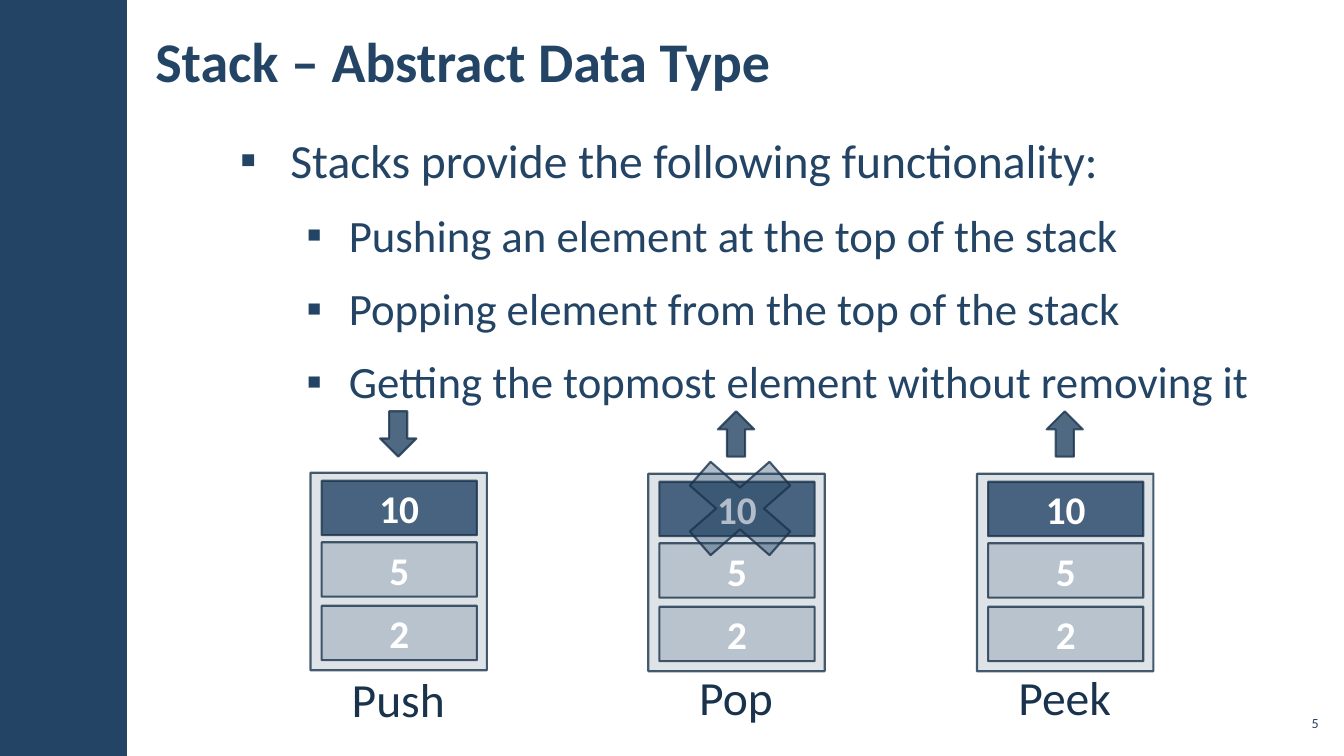
"""Build a slide on the operations of the stack data type."""
from lxml.etree import SubElement
from pptx import Presentation
from pptx.dml.color import RGBColor
from pptx.enum.shapes import MSO_SHAPE
from pptx.enum.text import MSO_ANCHOR, PP_ALIGN
from pptx.oxml.ns import qn
from pptx.util import Emu, Pt

PX = 9144
FONT = "Calibri"
NAVY = RGBColor(0x23, 0x44, 0x65)
DARK = RGBColor(0x1A, 0x33, 0x4C)
WHITE = RGBColor(0xFF, 0xFF, 0xFF)

PANEL_WIDTH, PANEL_HEIGHT = 175, 196
CELL_WIDTH, CELL_HEIGHT = 154, 54
ARROW_WIDTH, LABEL_WIDTH = 36, 142
CELLS = [("2", 132, 20), ("10", 8, 80), ("5", 69, 20)]
STACKS = [
    ("Push", 308, 469, 658, 0, False),
    ("Pop", 643, 470, 656, 180, True),
    ("Peek", 969, 470, 656, 180, False),
]
BULLETS = [
    (0, "Stacks provide the following functionality:"),
    (1, "Pushing an element at the top of the stack"),
    (1, "Popping element from the top of the stack"),
    (1, "Getting the topmost element without removing it"),
]
BULLET_STYLES = [(34, 50, -50), (32, 108, -42)]


def px(*lengths):
    """Turn px lengths into EMU."""
    return [Emu(length * PX) for length in lengths]


def set_alpha(fill, percent):
    """Give a solid fill the stated opacity."""
    color = fill._xPr.find(qn("a:solidFill"))[0]
    SubElement(color, qn("a:alpha")).set("val", str(percent * 1000))


def add_span(para, text, size, color, bold=False):
    """Add one formatted run to a paragraph."""
    span = para.add_run()
    span.text = text
    span.font.name = FONT
    span.font.size = Pt(size)
    span.font.bold = bold
    span.font.color.rgb = color


def space_para(para):
    """Apply the spacing shared by bullets and labels."""
    para.line_spacing = 1.05
    para.space_before = para.space_after = Pt(6)


def add_bullet(para, level):
    """Give a paragraph a square bullet and a hanging indent."""
    _, margin, indent = BULLET_STYLES[level]
    para.level = level
    properties = para._p.get_or_add_pPr()
    properties.set("marL", str(margin * PX))
    properties.set("indent", str(indent * PX))
    SubElement(properties, qn("a:buFont")).set("typeface", "Arial")
    SubElement(properties, qn("a:buChar")).set("char", "▪")


def add_text_frame(shapes, left, top, width, height, side=12, anchor=MSO_ANCHOR.TOP):
    """Add a wrapping text box and return its frame."""
    frame = shapes.add_textbox(*px(left, top, width, height)).text_frame
    frame.word_wrap = True
    frame.vertical_anchor = anchor
    frame.margin_left, frame.margin_right = px(side, side)
    frame.margin_top, frame.margin_bottom = px(4, 4)
    return frame


def add_figure(shapes, kind, left, top, width, height, opacity):
    """Add a translucent navy shape with a dark outline."""
    figure = shapes.add_shape(kind, *px(left, top, width, height))
    figure.shadow.inherit = False
    figure.fill.solid()
    figure.fill.fore_color.rgb = NAVY
    set_alpha(figure.fill, opacity)
    figure.line.color.rgb = DARK
    figure.line.width = Pt(1.5)
    set_alpha(figure.line.fill, 80)
    return figure


def add_cell(shapes, text, left, top, opacity):
    """Add one stack element with its value."""
    cell = add_figure(shapes, MSO_SHAPE.RECTANGLE, left, top, CELL_WIDTH, CELL_HEIGHT, opacity)
    frame = cell.text_frame
    frame.vertical_anchor = MSO_ANCHOR.MIDDLE
    para = frame.paragraphs[0]
    para.alignment = PP_ALIGN.CENTER
    add_span(para, text, 28, WHITE, True)


def add_stack(page, name, left, top, label_top, rotation, crossed):
    """Add a grouped stack with its arrow and label."""
    shapes = page.shapes.add_group_shape().shapes
    add_figure(shapes, MSO_SHAPE.RECTANGLE, left, top, PANEL_WIDTH, PANEL_HEIGHT, 15)
    for text, offset, opacity in CELLS:
        add_cell(shapes, text, left + 11, top + offset, opacity)
    arrow_left = left + (PANEL_WIDTH - ARROW_WIDTH) // 2
    arrow = add_figure(shapes, MSO_SHAPE.DOWN_ARROW, arrow_left, 408, ARROW_WIDTH, 45, 80)
    arrow.rotation = rotation
    if crossed:
        add_figure(shapes, MSO_SHAPE.MATH_MULTIPLY, left + 15, 438, 152, 133, 35)
    label_left = left + (PANEL_WIDTH - LABEL_WIDTH) // 2
    para = add_text_frame(shapes, label_left, label_top, LABEL_WIDTH, 70).paragraphs[0]
    para.alignment = PP_ALIGN.CENTER
    space_para(para)
    add_span(para, name, 34, DARK)


def add_sidebar(page):
    """Add the solid band along the left edge."""
    band = page.shapes.add_shape(MSO_SHAPE.RECTANGLE, *px(0, 0, 126, 750))
    band.shadow.inherit = False
    band.fill.solid()
    band.fill.fore_color.rgb = NAVY
    band.line.fill.background()


def add_bullets(page):
    """Add the list of stack operations."""
    frame = add_text_frame(page.shapes, 226, 123, 1086, 606)
    for index, (level, text) in enumerate(BULLETS):
        para = frame.add_paragraph() if index else frame.paragraphs[0]
        space_para(para)
        add_bullet(para, level)
        add_span(para, text, BULLET_STYLES[level][0], NAVY)


def main():
    """Build and save the deck."""
    deck = Presentation()
    deck.slide_width, deck.slide_height = px(1333, 750)
    page = deck.slides.add_slide(deck.slide_layouts[6])
    add_sidebar(page)
    add_bullets(page)
    title = add_text_frame(page.shapes, 142, 11, 918, 97, anchor=MSO_ANCHOR.MIDDLE)
    add_span(title.paragraphs[0], "Stack – Abstract Data Type", 40, NAVY, True)
    number = add_text_frame(page.shapes, 1265, 700, 47, 34, 4, MSO_ANCHOR.MIDDLE)
    number.paragraphs[0].alignment = PP_ALIGN.RIGHT
    add_span(number.paragraphs[0], "5", 10, NAVY)
    for stack in STACKS:
        add_stack(page, *stack)
    deck.save("out.pptx")


if __name__ == "__main__":
    main()
